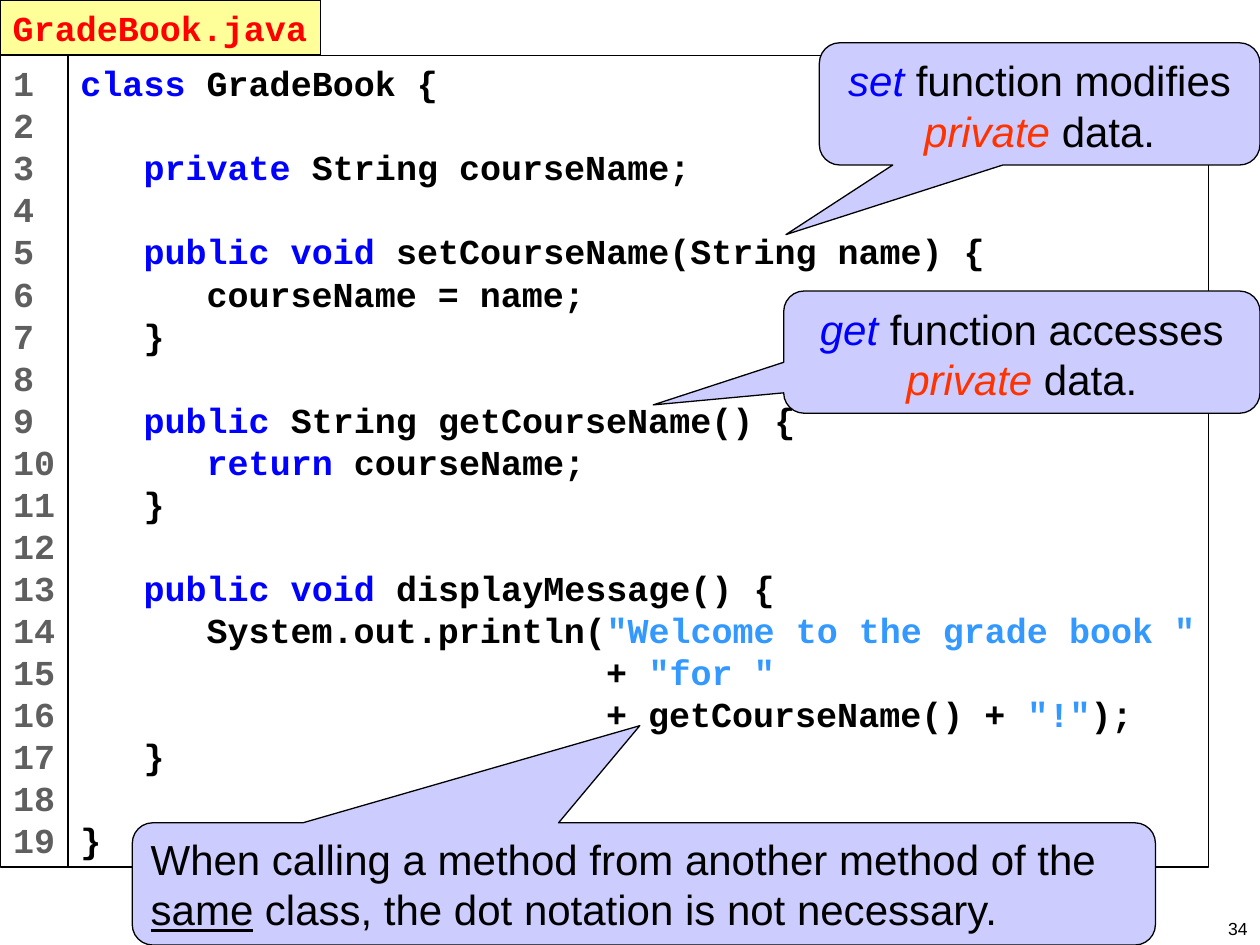
from pptx import Presentation
from pptx.dml.color import RGBColor as RGB
from pptx.enum.shapes import MSO_SHAPE as Kind
from pptx.enum.text import MSO_ANCHOR as Anchor, PP_ALIGN as Align
from pptx.text.text import Font
from pptx.util import Inches, Pt

BLACK = RGB(0x00, 0x00, 0x00)
GRAY = RGB(0x5F, 0x5F, 0x5F)
BLUE = RGB(0x00, 0x00, 0xFF)
SKY = RGB(0x33, 0x99, 0xFF)
RED = RGB(0xFF, 0x00, 0x00)
CORAL = RGB(0xFF, 0x33, 0x00)
CREAM = RGB(0xFF, 0xFF, 0x99)
LILAC = RGB(0xCC, 0xCC, 0xFF)

MARKS = {
    "k": {"color": BLUE},
    "s": {"color": SKY},
    "b": {"color": BLUE, "italic": True},
    "r": {"color": CORAL, "italic": True},
    "u": {"underline": True},
}

CODE = """|kclass| GradeBook {

   |kprivate| String courseName;

   |kpublic void| setCourseName(String name) {
      courseName = name;
   }

   |kpublic| String getCourseName() {
      |kreturn| courseName;
   }

   |kpublic void| displayMessage() {
      System.out.println(|s"Welcome to the grade book "|
                         + |s"for "|
                         + getCourseName() + |s"!"|);
   }

}""".split("\n")

deck = Presentation()
deck.slide_width, deck.slide_height = Inches(10), Inches(7.5)
slide = deck.slides.add_slide(deck.slide_layouts[6])
wide, high = deck.slide_width / 100, deck.slide_height / 100


def place(kind, left, top, width, height, fill=None):
    shape = slide.shapes.add_shape(
        kind, int(left * wide), int(top * high), int(width * wide), int(height * high))
    shape.shadow.inherit = False
    shape.line.color.rgb = BLACK
    shape.line.width = Pt(0.75)
    if fill:
        shape.fill.solid()
        shape.fill.fore_color.rgb = fill
    else:
        shape.fill.background()
    return shape


def write(shape, lines, size=20, name="Courier New", color=BLACK, bold=False,
          align=Align.LEFT, anchor=Anchor.TOP, wrap=False):
    frame = shape.text_frame
    frame.word_wrap = wrap
    frame.vertical_anchor = anchor
    for row, line in enumerate(lines):
        para = frame.add_paragraph() if row else frame.paragraphs[0]
        para.alignment = align
        if not line:
            font = Font(para._p.get_or_add_endParaRPr())
            font.size, font.name, font.bold = Pt(size), name, bold
        for turn, part in enumerate(line.split("|")):
            if not part:
                continue
            mark = MARKS[part[0]] if turn % 2 else {}
            run = para.add_run()
            run.text = part[1:] if turn % 2 else part
            font = run.font
            font.size, font.name, font.bold = Pt(size), name, bold
            font.color.rgb = mark.get("color", color)
            font.italic = mark.get("italic", False)
            font.underline = mark.get("underline", False)


code = place(Kind.RECTANGLE, 5.4, 5.9, 90.5, 85.87)
write(code, CODE, bold=True)
count = place(Kind.RECTANGLE, 0.05, 5.9, 5.35, 85.87)
write(count, [str(row + 1) for row in range(len(CODE))], color=GRAY, bold=True)
title = place(Kind.RECTANGLE, 0.03, 0, 25.4, 5.83, CREAM)
write(title, ["GradeBook.java"], color=RED, bold=True)

NOTES = [
    ((65.03, 4.53, 34.97), (-0.576, 1.07), Align.CENTER, Anchor.TOP,
     "|bset| function modifies |rprivate| data."),
    ((62.2, 30.8, 37.8), (-0.774, 0.432), Align.CENTER, Anchor.TOP,
     "|bget| function accesses |rprivate| data."),
    ((10.5, 87.07, 81.2), (-0.004, -1.295), Align.LEFT, Anchor.MIDDLE,
     "When calling a method from another method of the |usame| class, "
     "the dot notation is not necessary."),
]
for spot, tip, align, anchor, text in NOTES:
    note = place(Kind.ROUNDED_RECTANGULAR_CALLOUT, *spot, 12.93, LILAC)
    note.adjustments[0], note.adjustments[1] = tip
    write(note, [text], size=24, name="Arial", align=align, anchor=anchor, wrap=True)

page = slide.shapes.add_textbox(
    int(76.7 * wide), int(93.47 * high), int(23.3 * wide), int(6.53 * high))
write(page, ["34"], size=10, name="Arial", align=Align.RIGHT, anchor=Anchor.BOTTOM, wrap=True)

deck.save("out.pptx")
